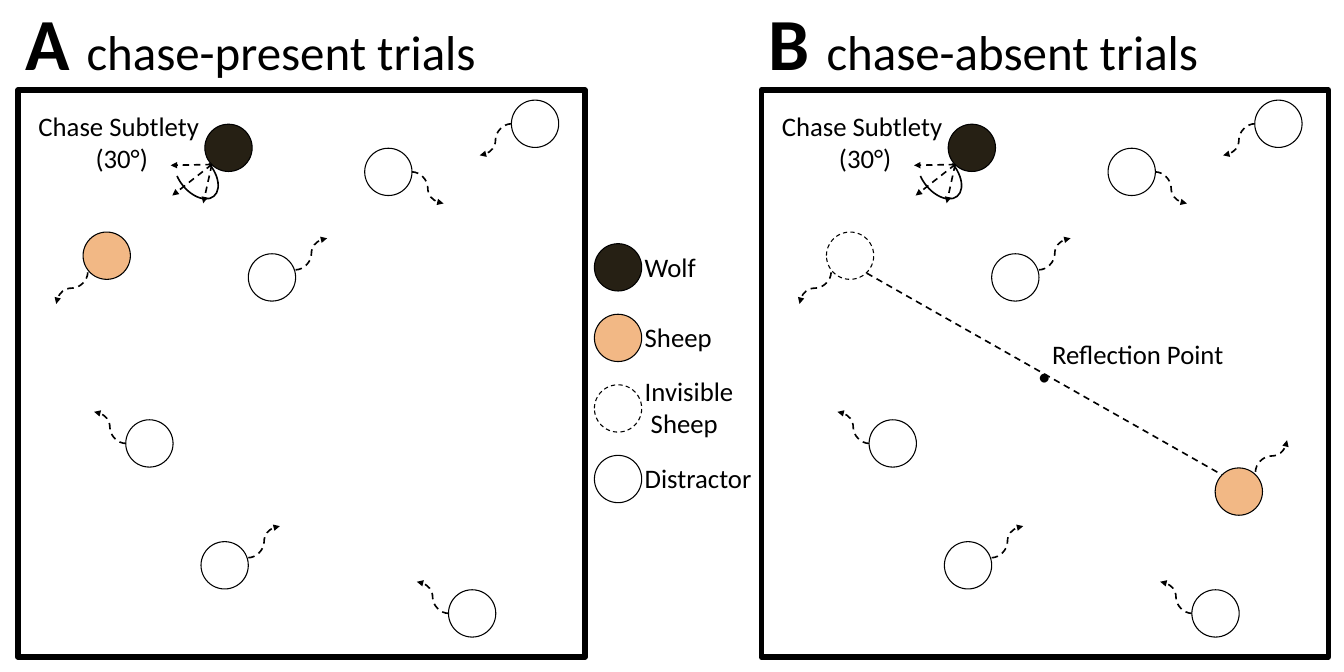
"""Build the slide comparing chase-present and chase-absent trials."""
from lxml.etree import SubElement
from pptx import Presentation
from pptx.dml.color import RGBColor
from pptx.enum.dml import MSO_LINE_DASH_STYLE as DASH
from pptx.enum.shapes import MSO_CONNECTOR as CONNECTOR, MSO_SHAPE as SHAPE
from pptx.enum.text import PP_ALIGN as ALIGN
from pptx.oxml.ns import qn
from pptx.util import Inches, Pt

BLACK = RGBColor(0x00, 0x00, 0x00)
WHITE = RGBColor(0xFF, 0xFF, 0xFF)
WOLF = RGBColor(0x26, 0x20, 0x14)
SHEEP = RGBColor(0xF2, 0xB8, 0x85)

presentation = Presentation()
presentation.slide_width = Inches(17.32)
presentation.slide_height = Inches(8.66)
slide = presentation.slides.add_slide(presentation.slide_layouts[6])

CELL = presentation.slide_width / 200
DISC, TRAIL, PANEL = 7.04, 4.7, 84.4
PANEL_LEFTS, PANEL_TOP = (2.66, 113.28), 13.39
PANEL_GAP = PANEL_LEFTS[1] - PANEL_LEFTS[0]
BODY, TITLE, LETTER = 24.8, 45.4, 68.1
ROLES = {
    "Wolf": {"fill": WOLF, "dash": None},
    "Sheep": {"fill": SHEEP, "dash": None},
    "Invisible \v Sheep": {"fill": WHITE, "dash": DASH.DASH},
    "Distractor": {"fill": WHITE, "dash": None},
}
INVISIBLE = "Invisible \v Sheep"


def add_outline(kind, box, weight, fill=None, dash=None):
    shape = slide.shapes.add_shape(kind, *(round(cells * CELL) for cells in box))
    shape.shadow.inherit = False
    if fill is None:
        shape.fill.background()
    else:
        shape.fill.solid()
        shape.fill.fore_color.rgb = fill
    shape.line.color.rgb = BLACK
    shape.line.width = Pt(weight)
    if dash:
        shape.line.dash_style = dash
    return shape


def add_dashed(kind, ends, arrow=True, turned=False):
    connector = slide.shapes.add_connector(kind, *(round(cells * CELL) for cells in ends))
    connector.line.color.rgb = BLACK
    connector.line.width = Pt(1.5)
    connector.line.dash_style = DASH.DASH
    properties = connector._element.spPr
    if arrow:
        SubElement(properties.find(qn("a:ln")), qn("a:tailEnd"), type="triangle")
    if turned:
        properties.find(qn("a:xfrm")).set("rot", str(90 * 60000))
    SubElement(properties, qn("a:effectLst"))


for left in PANEL_LEFTS:
    add_outline(SHAPE.RECTANGLE, (left, PANEL_TOP, PANEL, PANEL), 5)

add_dashed(CONNECTOR.STRAIGHT,
           (18.36 + PANEL_GAP, 40.65, 71.25 + PANEL_GAP, 70.67), arrow=False)

distractors = [
    (29.91, 80.6, 1, -1), (54.27, 22.06, 1, 1), (18.71, 62.47, -1, -1),
    (36.95, 37.76, 1, -1), (66.74, 87.76, -1, -1), (76.1, 14.9, -1, 1),
]
sheep_positions = [
    [("Sheep", 12.36, 34.53, -1, 1)],
    [(INVISIBLE, 12.36, 34.53, -1, 1), ("Sheep", 70.21, 69.63, 1, -1)],
]

discs = []
texts = []
for panel, sheep in enumerate(sheep_positions):
    shift = panel * PANEL_GAP
    discs.append(("Wolf", 30.48 + shift, 18.48))
    for left, top, side, rise in distractors:
        discs.append(("Distractor", left + shift, top))
        start_x = left + shift + (DISC if side > 0 else 0)
        start_y = top + (2.4 if side > rise else DISC / 2)
        add_dashed(CONNECTOR.CURVE, (start_x, start_y,
                                     start_x + side * TRAIL, start_y + rise * TRAIL))
    for role, left, top, side, rise in sheep:
        discs.append((role, left + shift, top))
        start_x = left + shift + (0.7 if side < 0 else 6)
        start_y = top + (6 if rise > 0 else 0.58)
        add_dashed(CONNECTOR.CURVE, (start_x + side * TRAIL, start_y,
                                     start_x, start_y + rise * TRAIL), turned=True)
    for end_x, end_y in [(25.64, 29.1), (30.25, 30.25), (25.4, 24.6)]:
        add_dashed(CONNECTOR.STRAIGHT, (31.52 + shift, 24.48, end_x + shift, end_y))
    arc = add_outline(SHAPE.ARC, (26.67 + shift, 21.94, 5.08, 8.2), 1.5)
    arc.rotation = 140.6
    arc.adjustments[0], arc.adjustments[1] = 106.47, 21.88
    texts.append(((4.16 + shift, 15.7, 27.94, 11.09),
                  [("Chase Subtlety \v(30°)", BODY, False)], ALIGN.CENTER, True))

for row, (role, label_width) in enumerate(zip(ROLES, (10.28, 12.82, 16.97, 18.82))):
    top = 36.26 + row * 10.5
    discs.append((role, 88.45, top))
    label_height = 11.09 if role == INVISIBLE else 6.12
    texts.append(((94.8, top + (DISC - label_height) / 2, label_width, label_height),
                  [(role, BODY, False)], ALIGN.LEFT, False))

for role, left, top in discs:
    add_outline(SHAPE.OVAL, (left, top, DISC, DISC), 1, **ROLES[role])

texts += [
    ((42.38 + PANEL_GAP, 45.5, 11.9, 14.9), [(".", LETTER, False)], ALIGN.LEFT, True),
    ((44.8 + PANEL_GAP, 49.65, 28.64, 6), [("Reflection Point", BODY, False)], ALIGN.LEFT, True),
]
titles = [("A ", "chase-present trials", 72.17), ("B ", "chase-absent trials", 68.94)]
for left, (letter, title, width) in zip(PANEL_LEFTS, titles):
    texts.append(((left, -1, width, 14.9),
                  [(letter, LETTER, True), (title, TITLE, False)], ALIGN.LEFT, False))

for box, parts, alignment, wrap in texts:
    frame = slide.shapes.add_textbox(*(round(cells * CELL) for cells in box)).text_frame
    frame.word_wrap = wrap
    paragraph = frame.paragraphs[0]
    paragraph.alignment = alignment
    for words, size, bold in parts:
        for index, line in enumerate(words.split("\v")):
            if index:
                paragraph.add_line_break()
            run = paragraph.add_run()
            run.text = line
            run.font.color.rgb = BLACK
            for name, value in {"name": "Calibri", "size": Pt(size), "bold": bold}.items():
                setattr(run.font, name, value)

presentation.save("out.pptx")
